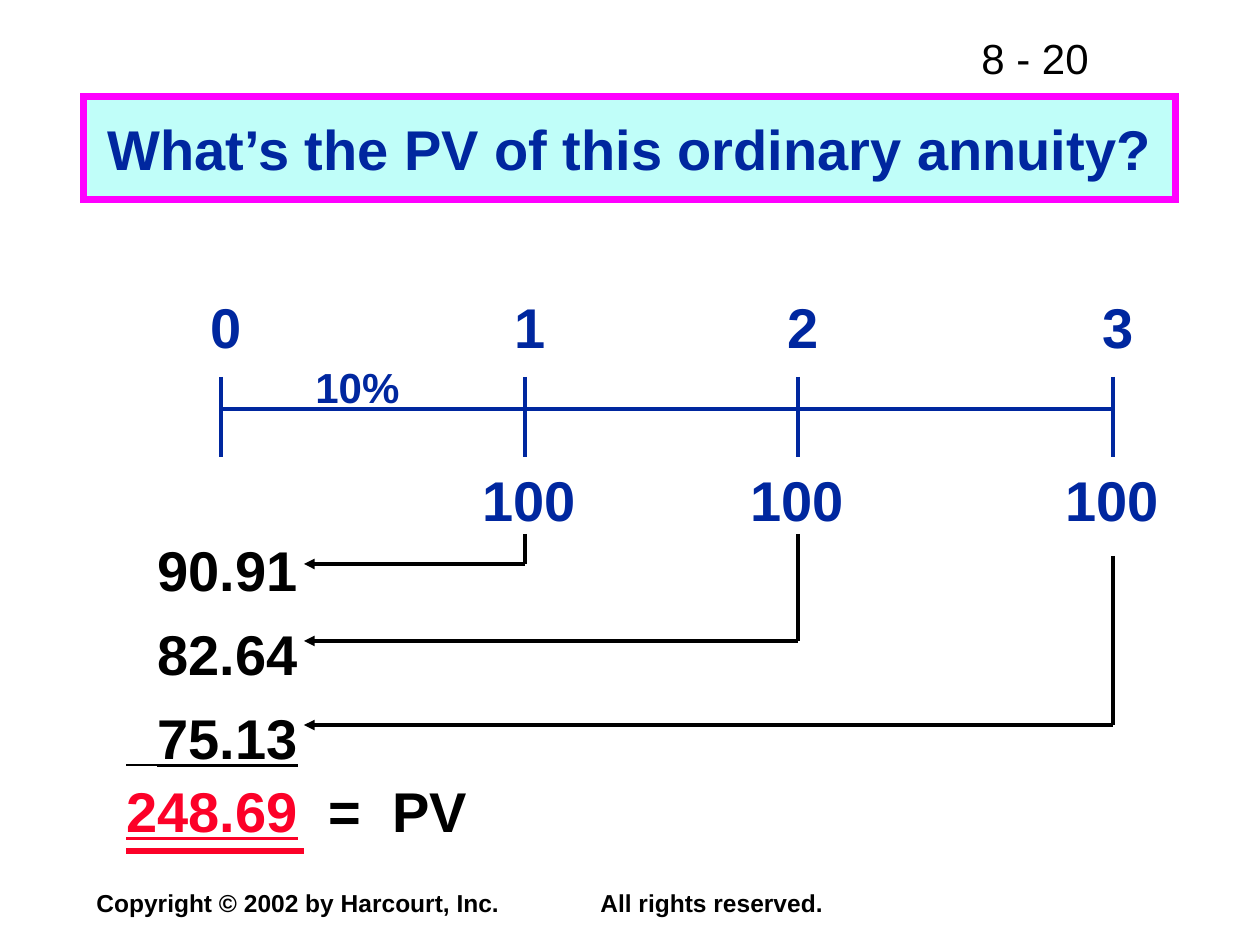
from lxml import etree
from pptx import Presentation
from pptx.dml.color import RGBColor
from pptx.enum.shapes import MSO_CONNECTOR, MSO_SHAPE
from pptx.enum.text import MSO_ANCHOR, MSO_AUTO_SIZE, PP_ALIGN
from pptx.oxml.ns import qn
from pptx.util import Pt

LINE = MSO_CONNECTOR.STRAIGHT
RECT = MSO_SHAPE.RECTANGLE
MIDDLE = MSO_ANCHOR.MIDDLE
CENTER = PP_ALIGN.CENTER
GROW = MSO_AUTO_SIZE.SHAPE_TO_FIT_TEXT

SCALE = 914400 / 126
COLORS = {"navy": "00279F", "black": "000000", "red": "FC0128",
          "pink": "FF00FF", "aqua": "C0FEF9"}
AXIS_Y = 409
ARROW_X = 304
SUM_X = 126

# tick x, cash flow left, drop top, arrow y
FLOWS = [(525, 470, 534, 564), (798, 738, 534, 641), (1113, 1053, 556, 725)]
# top, present value, underlined
VALUES = [(529, "90.91", False), (613, "82.64", False), (697, "75.13", True)]


def px(n):
    return round(n * SCALE)


def rgb(name):
    return RGBColor.from_string(COLORS[name])


def style(run, color, size=32, bold=True, under=False):
    font = run.font
    font.name, font.size, font.bold = "Arial", Pt(size), bold
    font.underline = under
    font.color.rgb = rgb(color)


def add_tabs(para, stops):
    tabs = etree.SubElement(para._p.get_or_add_pPr(), qn("a:tabLst"))
    for stop in stops:
        etree.SubElement(tabs, qn("a:tab"), pos=str(px(stop)), algn="l")


def add_text(slide, box, parts, tabs=(), **look):
    """Parts are (text, color, underlined); boxes with tabs keep their width."""
    frame = slide.shapes.add_textbox(*map(px, box)).text_frame
    frame.word_wrap = bool(tabs)
    frame.auto_size = GROW
    para = frame.paragraphs[0]
    if tabs:
        add_tabs(para, tabs)
    for text, color, under in parts:
        run = para.add_run()
        run.text = text
        style(run, color, under=under, **look)


def add_line(slide, start, end, color, width=2, arrow=False):
    line = slide.shapes.add_connector(LINE, *map(px, start + end))
    line.line.color.rgb = rgb(color)
    line.line.width = Pt(width)
    if arrow:
        etree.SubElement(line.line._get_or_add_ln(), qn("a:tailEnd"),
                         type="triangle")
    etree.SubElement(line._element.spPr, qn("a:effectLst"))


def add_title(slide, text):
    shape = slide.shapes.add_shape(RECT, *map(px, (84, 97, 1092, 103)))
    shape.shadow.inherit = False
    shape.fill.solid()
    shape.fill.fore_color.rgb = rgb("aqua")
    shape.line.color.rgb = rgb("pink")
    shape.line.width = Pt(4)
    etree.SubElement(shape.line._get_or_add_ln(), qn("a:miter"), lim="800000")
    frame = shape.text_frame
    frame.text = text
    frame.word_wrap = True
    frame.vertical_anchor = MIDDLE
    para = frame.paragraphs[0]
    para.alignment = CENTER
    style(para.runs[0], "navy")


def add_timeline(slide):
    ticks = [221] + [flow[0] for flow in FLOWS]
    for year, x in enumerate(ticks):
        add_text(slide, (x - 23, 286, 57, 79), [(str(year), "navy", False)])
        add_line(slide, (x, 377), (x, 457), "navy")
    add_line(slide, (ticks[0], AXIS_Y), (ticks[-1], AXIS_Y), "navy")
    add_text(slide, (303, 355, 110, 63), [("10%", "navy", False)], size=24)


def add_flows(slide):
    for x, left, top, y in FLOWS:
        add_text(slide, (left, 459, 124, 79), [("100", "navy", False)])
        add_line(slide, (x, top), (x, y), "black")
        add_line(slide, (x, y), (ARROW_X, y), "black", arrow=True)


def add_sum(slide):
    for top, value, under in VALUES:
        add_text(slide, (145, top, 172, 79), [(value, "black", under)])
    add_line(slide, (SUM_X, 765), (158, 765), "black", width=1.5)
    add_text(slide, (114, 770, 400, 79),
             [("248.69", "red", True), ("\t=\tPV", "black", False)],
             [202, 266])
    add_line(slide, (SUM_X, 851), (ARROW_X, 851), "red", width=3)


def main():
    deck = Presentation()
    deck.slide_width, deck.slide_height = px(1260), px(945)
    slide = deck.slides.add_slide(deck.slide_layouts[6])
    add_text(slide, (969, 26, 138, 63), [("8 - 20", "black", False)],
             size=24, bold=False)
    add_title(slide, "What’s the PV of this ordinary annuity?")
    add_timeline(slide)
    add_flows(slide)
    add_sum(slide)
    notice = "Copyright © 2002 by Harcourt, Inc.\tAll rights reserved."
    add_text(slide, (84, 882, 1092, 42), [(notice, "black", False)],
             [504], size=14)
    deck.save("out.pptx")


if __name__ == "__main__":
    main()
